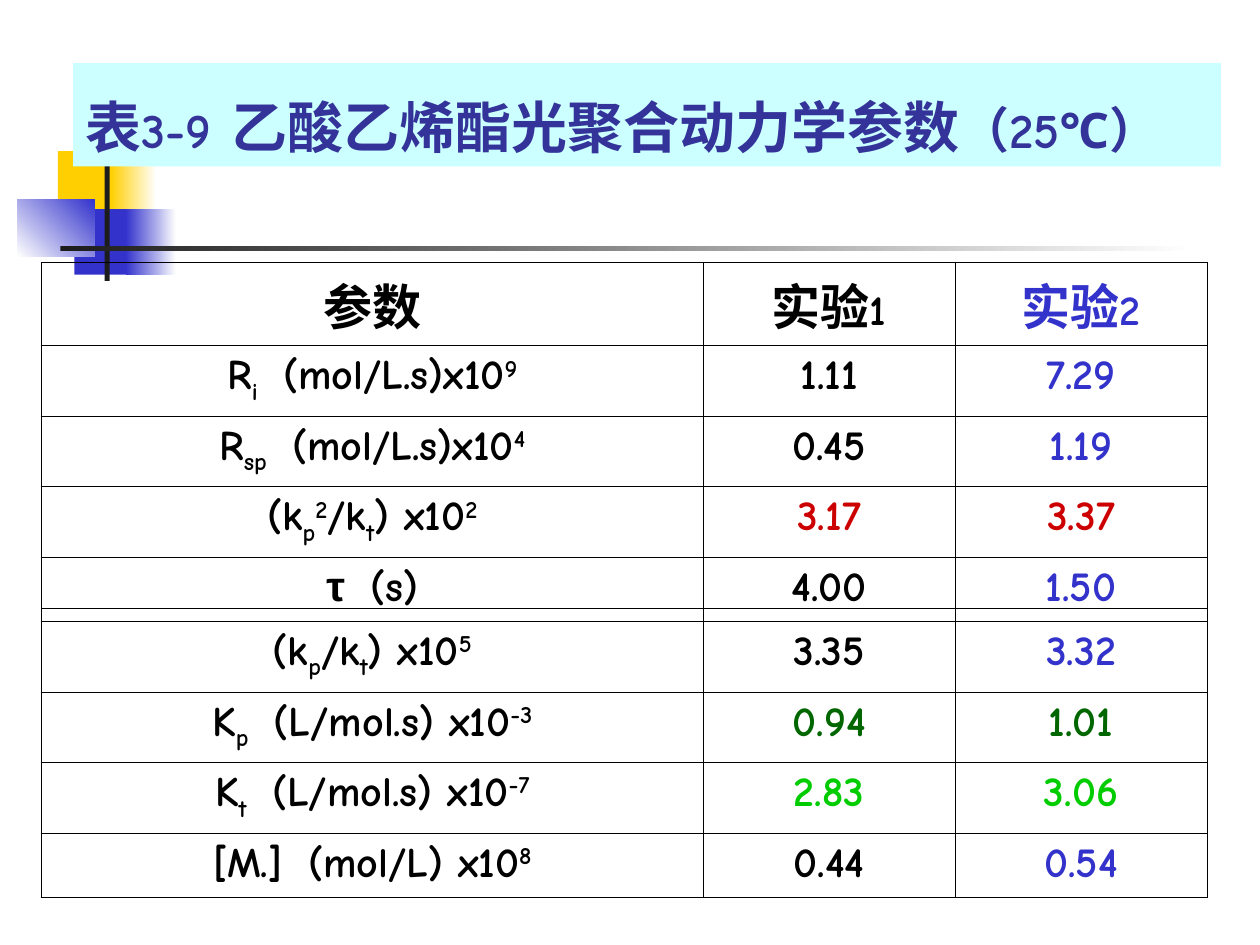
import lxml.etree
import pptx
import pptx.dml.color
import pptx.enum.shapes
import pptx.enum.text
import pptx.oxml.ns
import pptx.util

Inches, Pt = pptx.util.Inches, pptx.util.Pt
qn = pptx.oxml.ns.qn

COLORS = {
    "yellow": "FFCF01", "blue": "3333CC", "white": "FFFFFF", "ink": "1C1C1C",
    "banner": "CCFFFF", "title": "333399", "black": "000000", "red": "CC0000",
    "dark green": "006600", "green": "00CC00",
}
FONT = "Comic Neue"
BASELINES = {"_": "-25000", "^": "30000"}
THIN, THICK = 0.45, 1.08

# Pieces are split by "|"; "_" lowers a piece, "^" raises it, a lone space is a wide gap
PARAMETERS = [
    ("R|_i| |(mol/L.s)x10|^9", "1.11", "7.29", "black", "blue"),
    ("R|_sp| |(mol/L.s)x10|^4", "0.45", "1.19", "black", "blue"),
    ("(k|_p|^2|/k|_t|) x10|^2", "3.17", "3.37", "red", "red"),
    ("τ| |(s)", "4.00", "1.50", "black", "blue"),
    ("(k|_p|/k|_t|) x10|^5", "3.35", "3.32", "black", "blue"),
    ("K|_p| |(L/mol.s) x10|^-3", "0.94", "1.01", "dark green", "dark green"),
    ("K|_t| |(L/mol.s) x10|^-7", "2.83", "3.06", "green", "green"),
    ("[M.]| |(mol/L) x10|^8", "0.44", "0.54", "black", "blue"),
]
TALL, SHORT = 0.56, 0.51
ROW_HEIGHTS = [0.66, TALL, TALL, TALL, SHORT, TALL, TALL, TALL, SHORT]


def rgb(color):
    return pptx.dml.color.RGBColor.from_string(COLORS[color])


def add_run(paragraph, text, size, color, font=FONT):
    run = paragraph.add_run()
    run.text = text
    run.font.size, run.font.bold, run.font.name = Pt(size), True, font
    run.font.color.rgb = rgb(color)
    return run


def add_block(slide, box, start, end=None, angle=0):
    """A borderless rectangle, fading from start to end when end is given."""
    block = slide.shapes.add_shape(
        pptx.enum.shapes.MSO_SHAPE.RECTANGLE, *map(Inches, box))
    block.shadow.inherit = False
    block.line.fill.background()
    if end:
        block.fill.gradient()
        block.fill.gradient_angle = angle
        for stop, color in zip(block.fill.gradient_stops, (start, end)):
            stop.color.rgb = rgb(color)
    else:
        block.fill.solid()
        block.fill.fore_color.rgb = rgb(start)


def add_ornament(slide, left, top):
    """Coloured squares and crossing bars; offsets run from the top left corner."""
    for x, y, width, height, *paint in (
        (0.32, 0.12, 0.48, 0.52, "yellow"),
        (0.74, 0.12, 0.36, 0.52, "yellow", "white"),
        (0.45, 0.58, 0.46, 0.52, "blue"),
        (0.86, 0.58, 0.4, 0.52, "blue", "white"),
        (0, 0.5, 0.61, 0.46, "white", "blue", 45),
        (0.69, 0, 0.04, 1.15, "ink"),
        (0.34, 0.87, 9, 0.04, "ink", "white"),
    ):
        add_block(slide, (left + x, top + y, width, height), *paint)


def place_title(slide, left, top, width, height):
    title = slide.shapes.title
    title.left, title.top = Inches(left), Inches(top)
    title.width, title.height = Inches(width), Inches(height)
    title.fill.solid()
    title.fill.fore_color.rgb = rgb("banner")
    frame = title.text_frame
    frame.word_wrap = True
    frame.margin_right = 0
    frame.auto_size = pptx.enum.text.MSO_AUTO_SIZE.NONE
    frame.vertical_anchor = pptx.enum.text.MSO_ANCHOR.BOTTOM
    heading = frame.paragraphs[0]
    heading.alignment = pptx.enum.text.PP_ALIGN.LEFT
    for text, size in (("表", 32), ("3-9", 28),
                       (" 乙酸乙烯酯光聚合动力学参数", 32), ("（25℃）", 28)):
        add_run(heading, text, size, "title")
    # The banner covers the top of the ornament
    slide.shapes._spTree.append(title._element)


def set_borders(cell, widths):
    properties = cell._tc.get_or_add_tcPr()
    for side, width in zip("LRTB", widths):
        line = lxml.etree.SubElement(
            properties, qn("a:ln" + side), w=str(int(Pt(width))))
        fill = lxml.etree.SubElement(line, qn("a:solidFill"))
        lxml.etree.SubElement(fill, qn("a:srgbClr"), val=COLORS["black"])


def fill_formula(paragraph, formula, color):
    for piece in formula.split("|"):
        baseline = BASELINES.get(piece[0])
        text = piece[1:] if baseline else piece
        run = add_run(paragraph, text, 24, color, "Arial" if text == "τ" else FONT)
        if baseline:
            run._r.get_or_add_rPr().set("baseline", baseline)
        elif text == " ":
            run._r.get_or_add_rPr().set("spc", "600")


def add_parameter_table(slide, left, top, width):
    table_frame = slide.shapes.add_table(
        len(ROW_HEIGHTS), 3, Inches(left), Inches(top),
        Inches(width), Inches(sum(ROW_HEIGHTS)))
    table = table_frame.table
    table.first_row = table.horz_banding = False
    for column, column_width in zip(table.columns, (width - 4, 2, 2)):
        column.width = Inches(column_width)
    for row, row_height in zip(table.rows, ROW_HEIGHTS):
        row.height = Inches(row_height)

    # The left edge is thicker than the other borders
    for r in range(len(ROW_HEIGHTS)):
        for c in range(3):
            cell = table.cell(r, c)
            set_borders(cell, (THIN if c else THICK, THIN, THIN, THIN))
            cell.fill.background()
            cell.text_frame.paragraphs[0].alignment = pptx.enum.text.PP_ALIGN.CENTER

    # Header row
    for c, (label, number, color) in enumerate((
            ("参数", "", "black"), ("实验", "1", "black"), ("实验", "2", "blue"))):
        heading = table.cell(0, c).text_frame.paragraphs[0]
        add_run(heading, label, 28, color)
        if number:
            add_run(heading, number, 24, color)

    # Parameter rows
    for r, (formula, first, second, *colors) in enumerate(PARAMETERS, 1):
        fill_formula(table.cell(r, 0).text_frame.paragraphs[0], formula, "black")
        for c, (value, color) in enumerate(zip((first, second), colors), 1):
            add_run(table.cell(r, c).text_frame.paragraphs[0], value, 24, color)


def add_divider(slide, left, top, width):
    divider = slide.shapes.add_connector(
        pptx.enum.shapes.MSO_CONNECTOR.STRAIGHT,
        Inches(left), Inches(top), Inches(left + width), Inches(top))
    divider.line.color.rgb = rgb("black")
    divider.line.width = Pt(0.75)
    lxml.etree.SubElement(divider._element.spPr, qn("a:effectLst"))


def main():
    deck = pptx.Presentation()
    deck.slide_width, deck.slide_height = Inches(10), Inches(7.5)
    slide = deck.slides.add_slide(deck.slide_layouts[5])
    add_ornament(slide, 0.14, 1.08)
    place_title(slide, 0.58, 0.5, 9.11, 0.82)
    add_parameter_table(slide, 0.33, 2.08, 9.25)
    add_divider(slide, 0.33, 4.83, 9.25)
    deck.save("out.pptx")


if __name__ == "__main__":
    main()
